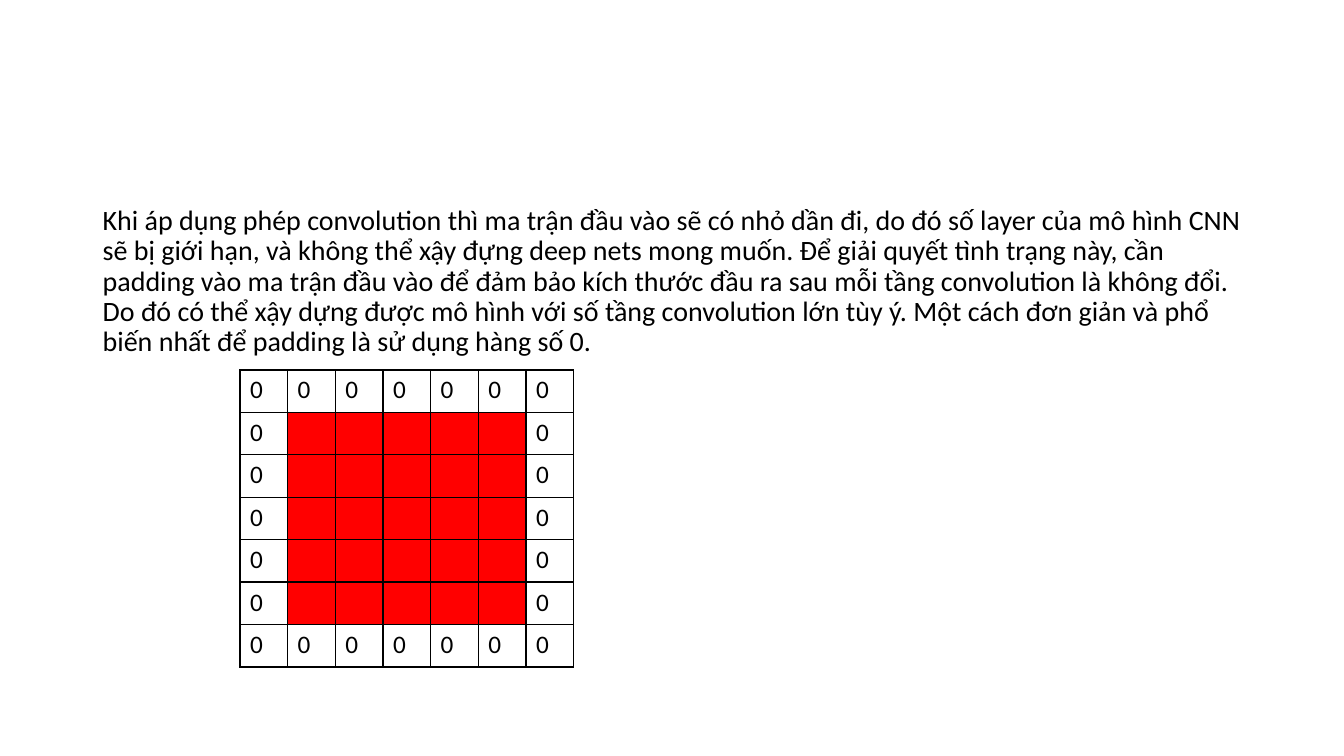
from lxml.etree import SubElement
from pptx import Presentation
from pptx.dml.color import RGBColor
from pptx.oxml.ns import qn
from pptx.util import Inches, Pt

BLACK = RGBColor(0x00, 0x00, 0x00)
RED = RGBColor(0xFF, 0x00, 0x00)
FONT = "Calibri"

MATRIX_SIZE = 7
COLUMN_WIDTH = 0.473
ROW_HEIGHT = 0.421

EXPLANATION = (
    "Khi áp dụng phép convolution thì ma trận đầu vào sẽ có nhỏ dần đi, "
    "do đó số layer của mô hình CNN sẽ bị giới hạn, và không thể xậy đựng "
    "deep nets mong muốn. Để giải quyết tình trạng này, cần padding vào "
    "ma trận đầu vào để đảm bảo kích thước đầu ra sau mỗi tầng convolution "
    "là không đổi. Do đó có thể xậy dựng được mô hình với số tầng "
    "convolution lớn tùy ý. Một cách đơn giản và phổ biến nhất để padding "
    "là sử dụng hàng số 0."
)


def style_text(para, size):
    for span in para.runs:
        span.font.name = FONT
        span.font.size = Pt(size)
        span.font.color.rgb = BLACK


def add_body(page, text, left, top, width, height):
    box = page.shapes.add_textbox(
        Inches(left), Inches(top), Inches(width), Inches(height))
    box.text_frame.word_wrap = True
    para = box.text_frame.paragraphs[0]
    para.text = text
    para.line_spacing = 0.9
    para.space_before = Pt(10)
    style_text(para, 20)


def add_borders(cell, color, width):
    properties = cell._tc.get_or_add_tcPr()
    for side in ("a:lnL", "a:lnR", "a:lnT", "a:lnB"):
        line = SubElement(properties, qn(side), w=str(Pt(width)))
        fill = SubElement(line, qn("a:solidFill"))
        SubElement(fill, qn("a:srgbClr"), val=str(color))


def add_padded_matrix(page, left, top):
    """Draw a red input matrix with a ring of zeros around it."""
    matrix = page.shapes.add_table(
        MATRIX_SIZE, MATRIX_SIZE, Inches(left), Inches(top),
        Inches(MATRIX_SIZE * COLUMN_WIDTH),
        Inches(MATRIX_SIZE * ROW_HEIGHT)).table
    matrix.first_row = False
    matrix.horz_banding = False
    for column in matrix.columns:
        column.width = Inches(COLUMN_WIDTH)
    for row in matrix.rows:
        row.height = Inches(ROW_HEIGHT)

    edges = (0, MATRIX_SIZE - 1)
    for row in range(MATRIX_SIZE):
        for column in range(MATRIX_SIZE):
            cell = matrix.cell(row, column)
            add_borders(cell, BLACK, 1)
            if row in edges or column in edges:
                cell.fill.background()
                cell.text_frame.text = "0"
                style_text(cell.text_frame.paragraphs[0], 18)
            else:
                cell.fill.solid()
                cell.fill.fore_color.rgb = RED


def main():
    deck = Presentation()
    deck.slide_width = Inches(13.33)
    deck.slide_height = Inches(7.5)
    page = deck.slides.add_slide(deck.slide_layouts[6])

    # Explanation of padding
    add_body(page, EXPLANATION, 0.92, 2, 11.5, 4.76)

    # Matrix padded with zeros
    add_padded_matrix(page, 2.38, 3.67)

    deck.save("out.pptx")


main()
